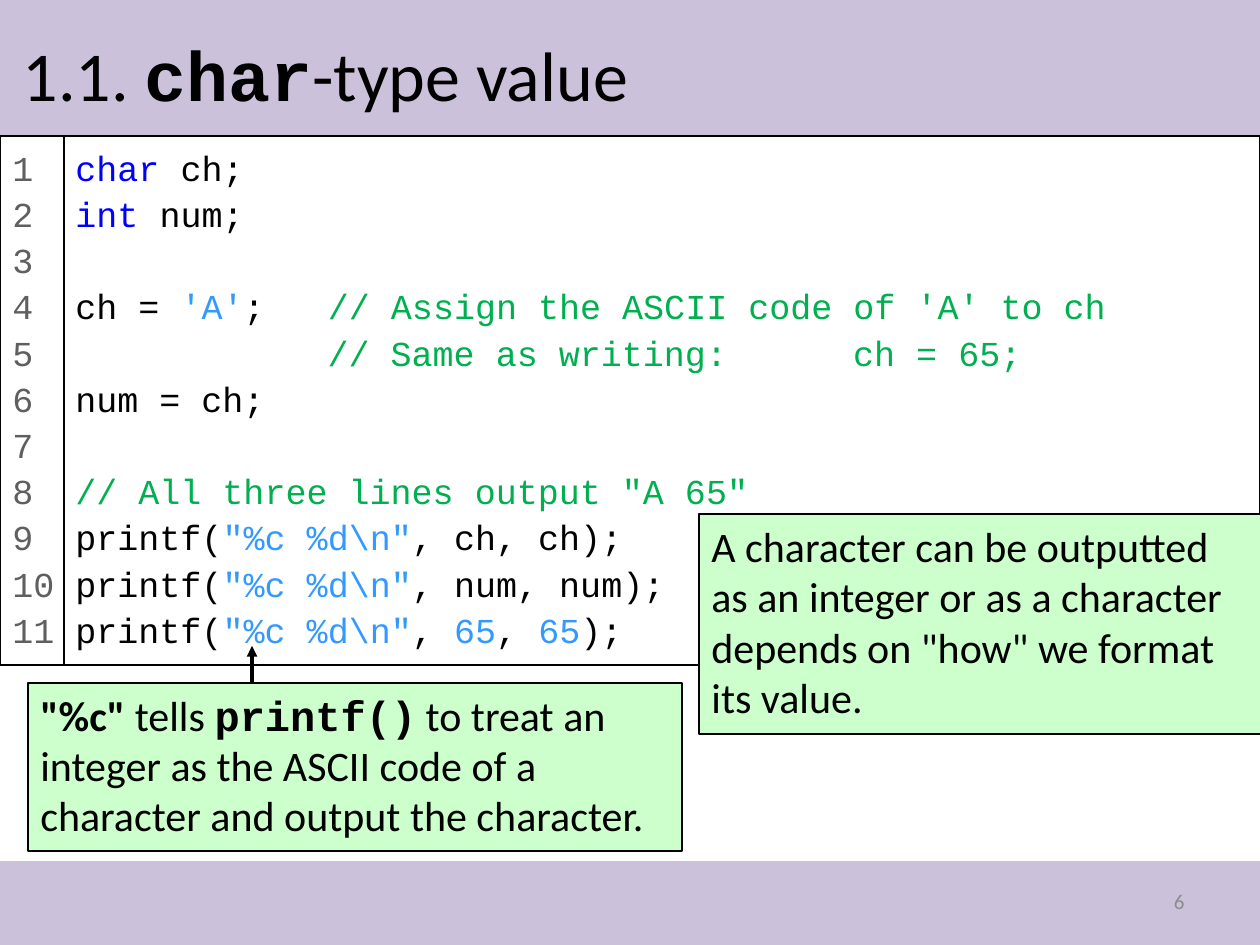
from lxml.etree import SubElement
from pptx import Presentation
from pptx.dml.color import RGBColor
from pptx.enum.shapes import MSO_CONNECTOR, MSO_SHAPE
from pptx.enum.text import MSO_ANCHOR, PP_ALIGN
from pptx.oxml.ns import qn
from pptx.util import Pt

PX = 914400 / 126
SANS, MONO = "Calibri", "Courier New"
BLACK = RGBColor(0x00, 0x00, 0x00)
WHITE = RGBColor(0xFF, 0xFF, 0xFF)
LILAC = RGBColor(0xCC, 0xC1, 0xDA)
MINT = RGBColor(0xCC, 0xFF, 0xCC)
KEYWORD = RGBColor(0x00, 0x00, 0xFF)
LITERAL = RGBColor(0x33, 0x99, 0xFF)
COMMENT = RGBColor(0x00, 0xB0, 0x50)
LINE_NO = RGBColor(0x5F, 0x5F, 0x5F)
PAGE_NO = RGBColor(0x8C, 0x8C, 0x8C)

FORMAT = ('"%c %d\\n"', LITERAL)
CODE = [
    [("char ", KEYWORD), ("ch;", BLACK)],
    [("int ", KEYWORD), ("num;", BLACK)],
    [],
    [("ch = ", BLACK), ("'A'", LITERAL), (";   ", BLACK),
     ("// Assign the ASCII code of 'A' to ch", COMMENT)],
    [("            // Same as writing:      ch = 65;", COMMENT)],
    [("num = ch;", BLACK)],
    [],
    [('// All three lines output "A 65"', COMMENT)],
    [("printf(", BLACK), FORMAT, (", ch, ch);", BLACK)],
    [("printf(", BLACK), FORMAT, (", num, num);", BLACK)],
    [("printf(", BLACK), FORMAT, (", ", BLACK), ("65", LITERAL),
     (", ", BLACK), ("65", LITERAL), (");", BLACK)],
]


def emu(*lengths):
    return [round(n * PX) for n in lengths]


def add_run(p, text, size, font=SANS, color=BLACK, bold=False):
    r = p.add_run()
    r.text = text
    r.font.size = Pt(size)
    r.font.name = font
    r.font.bold = bold
    r.font.color.rgb = color


def add_box(s, box, fill, outlined=True):
    sp = s.shapes.add_shape(MSO_SHAPE.RECTANGLE, *emu(*box))
    sp.shadow.inherit = False
    sp.fill.solid()
    sp.fill.fore_color.rgb = fill
    if outlined:
        sp.line.color.rgb = BLACK
        sp.line.width = Pt(0.75)
    else:
        sp.line.fill.background()
    tf = sp.text_frame
    tf.word_wrap = True
    tf.vertical_anchor = MSO_ANCHOR.TOP
    tf.paragraphs[0].alignment = PP_ALIGN.LEFT
    return sp


def add_title(s, box):
    title = s.shapes.title
    title.left, title.top, title.width, title.height = emu(*box)
    s.shapes._spTree.append(title._element)  # in front of the band
    tf = title.text_frame
    tf.vertical_anchor = MSO_ANCHOR.MIDDLE
    p = tf.paragraphs[0]
    p.alignment = PP_ALIGN.LEFT
    add_run(p, "1.1. ", 40)
    add_run(p, "char", 40, MONO, bold=True)
    add_run(p, "-type value", 40)


def write_lines(tf, lines):
    for i, line in enumerate(lines):
        p = tf.paragraphs[0] if i == 0 else tf.add_paragraph()
        p.alignment = PP_ALIGN.LEFT
        p.line_spacing = 1.1
        for text, color in line:
            add_run(p, text, 20, MONO, color)
        if not line:
            end = SubElement(p._p, qn("a:endParaRPr"), sz="2000")
            SubElement(end, qn("a:latin"), typeface=MONO)


def add_listing(s, box, gutter):
    """Code panel with a column of line numbers at its left."""
    left, top, width, height = box
    code = add_box(s, (left + gutter - 1, top, width - gutter + 1, height), WHITE)
    write_lines(code.text_frame, CODE)
    numbers = add_box(s, (left, top, gutter, height), WHITE)
    numbers.text_frame.margin_right = 0
    write_lines(numbers.text_frame,
                [[(str(n), LINE_NO)] for n in range(1, len(CODE) + 1)])


def add_callout(s, box, runs):
    p = add_box(s, box, MINT).text_frame.paragraphs[0]
    for text, font, bold in runs:
        add_run(p, text, 24, font, bold=bold)


def add_arrow(s, start, end):
    line = s.shapes.add_connector(MSO_CONNECTOR.STRAIGHT, *emu(*start, *end))
    line.line.color.rgb = BLACK
    line.line.width = Pt(2)
    SubElement(line.line._get_or_add_ln(), qn("a:tailEnd"), type="triangle")
    SubElement(line._element.spPr, qn("a:effectLst"))


def add_page_number(s, box, number):
    tf = s.shapes.add_textbox(*emu(*box)).text_frame
    tf.word_wrap = True
    tf.vertical_anchor = MSO_ANCHOR.MIDDLE
    p = tf.paragraphs[0]
    p.alignment = PP_ALIGN.RIGHT
    add_run(p, str(number), 12, color=PAGE_NO)


def main():
    prs = Presentation()
    prs.slide_width, prs.slide_height = emu(1260, 945)
    s = prs.slides.add_slide(prs.slide_layouts[5])
    add_box(s, (0, 0, 1260, 136), LILAC, outlined=False)
    add_box(s, (0, 861, 1260, 84), LILAC, outlined=False)
    add_title(s, (10, 21, 1239, 105))
    add_listing(s, (0, 136, 1260, 529), 64)
    add_callout(s, (28, 683, 654, 168), [
        ('"%c"', SANS, True), (" tells ", SANS, False), ("printf()", MONO, True),
        (" to treat an integer as the ASCII code of a character "
         "and output the character.", SANS, False)])
    add_arrow(s, (252, 683), (252, 646))
    add_callout(s, (699, 514, 563, 220), [
        ("A character can be outputted as an integer or as a character "
         'depends on "how" we format its value.', SANS, False)])
    add_page_number(s, (903, 876, 294, 50), 6)
    prs.save("out.pptx")


if __name__ == "__main__":
    main()
